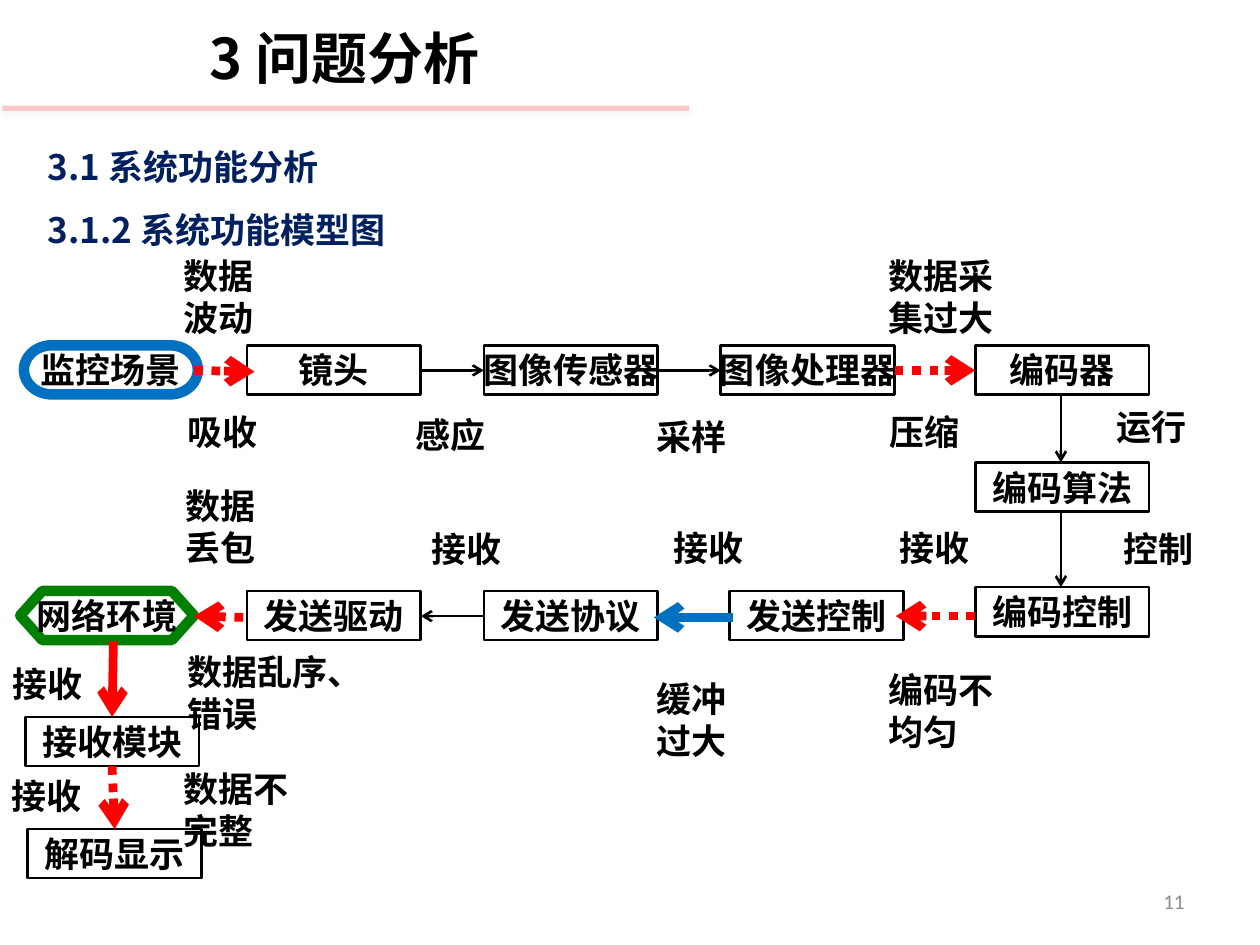
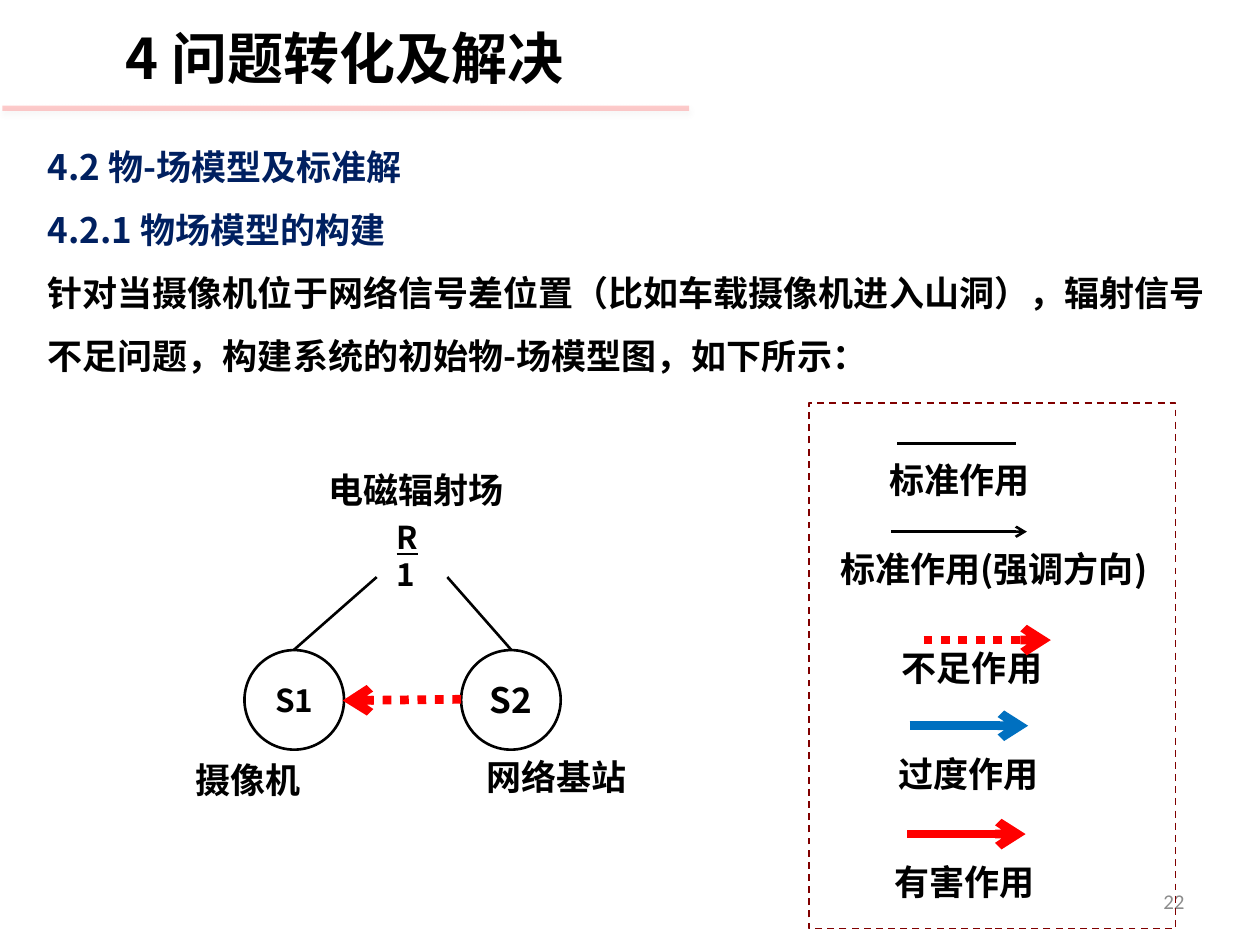
import lxml.etree
import pptx
import pptx.dml.color
import pptx.enum.dml
import pptx.enum.shapes
import pptx.enum.text
import pptx.oxml.ns
import pptx.util

COLS, ROWS = 100, 75
WIDE, HIGH = pptx.util.Inches(10), pptx.util.Inches(7.5)
CJK, LATIN = "Noto Sans CJK SC", "Calibri"
HUES = {
    "black": "000000", "navy": "002060", "red": "FF0000", "blue": "0070C0",
    "green": "008000", "maroon": "800000", "gray": "8C8C8C", "shade": "808080",
}
DASH = pptx.enum.dml.MSO_LINE
FORM = pptx.enum.shapes.MSO_SHAPE
ALIGN = pptx.enum.text.PP_ALIGN
ANCHOR = pptx.enum.text.MSO_ANCHOR
FIT = pptx.enum.text.MSO_AUTO_SIZE

# Kinds of action: colour, line width, dash
ACTS = {
    "normal": ("black", 1.5, None),
    "weak": ("red", 5, DASH.ROUND_DOT),
    "excess": ("blue", 5, None),
    "harm": ("red", 5, None),
}


def hue(name):
    return pptx.dml.color.RGBColor.from_string(HUES[name])


def node(base, tag, **attrs):
    """Append a drawing element to base."""
    return lxml.etree.SubElement(base, pptx.oxml.ns.qn(tag), **attrs)


class Deck:
    """Style and current slide; lengths are columns and rows of the grid."""

    def __init__(self):
        self.prs = pptx.Presentation()
        self.prs.slide_width, self.prs.slide_height = WIDE, HIGH
        self.slide = None

    def spot(self, *nums):
        """Turn column, row pairs into slide lengths."""
        units = (WIDE / COLS, HIGH / ROWS)
        return [round(n * units[i % 2]) for i, n in enumerate(nums)]

    def page(self, title, heads, number, size, body=()):
        self.slide = self.prs.slides.add_slide(self.prs.slide_layouts[6])
        self.rule()
        self.text((2.8, 9.4, *size), [*heads, *body], space=1.5,
                  tints=["navy"] * len(heads) + ["black"] * len(body))
        self.text((0, 1.4, 54.7, 6.4), [title], size=32, align=ALIGN.CENTER)
        box = self.text((71.7, 69.5, 23.3, 4), [number], size=12, bold=False,
                        align=ALIGN.RIGHT, tints=["gray"], face=LATIN, grow=False)
        box.text_frame.vertical_anchor = ANCHOR.MIDDLE

    def rule(self):
        """Faint red rule with a soft shadow under the title."""
        line = self.line((0.2, 8.6, 54.7, 8.6), ("red", 3, None), False)
        tint = line.line._ln.find(".//" + pptx.oxml.ns.qn("a:srgbClr"))
        node(tint, "a:alpha", val="20000")
        fx = line._element.spPr.find(pptx.oxml.ns.qn("a:effectLst"))
        glow = node(fx, "a:outerShdw", blurRad=str(pptx.util.Pt(3.1)),
                    dist=str(pptx.util.Pt(1.8)), dir="5400000", rotWithShape="0")
        node(node(glow, "a:srgbClr", val=HUES["shade"]), "a:alpha", val="35000")

    def style(self, para, size, tint, align, bold=True, face=CJK):
        para.alignment = align
        font = para.font
        font.size, font.bold = pptx.util.Pt(size), bold
        font.color.rgb = hue(tint)
        font.name = face
        node(font._rPr, "a:ea", typeface=face)

    def text(self, place, lines, size=20, align=ALIGN.LEFT, tints=None,
             space=None, wrap=True, bold=True, face=CJK, grow=True):
        box = self.slide.shapes.add_textbox(*self.spot(*place))
        frame = box.text_frame
        frame.word_wrap = wrap
        frame.auto_size = FIT.SHAPE_TO_FIT_TEXT if grow else FIT.NONE
        for i, words in enumerate(lines):
            para = frame.paragraphs[0] if i == 0 else frame.add_paragraph()
            para.add_run().text = words
            if space:
                para.line_spacing = space
            self.style(para, size, tints[i] if tints else "black", align, bold, face)
        return box

    def ratio(self, place, top, low):
        """Underlined label with a second label below it."""
        box = self.text(place, [top], size=18, wrap=False)
        para = box.text_frame.paragraphs[0]
        para.runs[0].font.underline = True
        para.add_line_break()
        para.add_run().text = low

    def stroke(self, line, pen):
        tint, width, dash = pen
        line.color.rgb = hue(tint)
        line.width = pptx.util.Pt(width)
        if dash:
            line.dash_style = dash

    def shape(self, form, place, words="", pen=ACTS["normal"], size=20):
        item = self.slide.shapes.add_shape(form, *self.spot(*place))
        item.shadow.inherit = False
        item.fill.background()
        self.stroke(item.line, pen)
        if words:
            frame = item.text_frame
            frame.word_wrap = False
            frame.vertical_anchor = ANCHOR.MIDDLE
            frame.paragraphs[0].add_run().text = words
            self.style(frame.paragraphs[0], size, "black", ALIGN.CENTER)
        return item

    def line(self, ends, pen=ACTS["normal"], head=True):
        kind = pptx.enum.shapes.MSO_CONNECTOR.STRAIGHT
        item = self.slide.shapes.add_connector(kind, *self.spot(*ends))
        self.stroke(item.line, pen)
        if head:
            node(item.line._ln, "a:tailEnd", type="arrow")
        node(item._element.spPr, "a:effectLst")
        return item


def model(deck):
    """System function model."""
    deck.page("3 问题分析", ["3.1 系统功能分析", "3.1.2 系统功能模型图"],
              "11", (51.9, 11.1))
    wide, high = 13.8, 3.9
    top, low = 27.4, 46.9
    parts = [
        ("镜头", 19.6, top), ("图像传感器", 38.4, top), ("图像处理器", 57.2, top),
        ("编码器", 77.4, top), ("编码算法", 77.4, 36.7), ("编码控制", 77.4, 46.6),
        ("发送控制", 57.9, low), ("发送协议", 38.4, low), ("发送驱动", 19.6, low),
        ("接收模块", 2, 56.9), ("解码显示", 2.2, 65.8),
    ]
    for words, x, y in parts:
        deck.shape(FORM.RECTANGLE, (x, y, wide, high), words)
    deck.shape(FORM.FLOWCHART_TERMINATOR, (1.9, top, wide, high), "监控场景",
               ("blue", 6, None))
    net = deck.shape(FORM.HEXAGON, (1.6, low, wide, high), "网络环境",
                     ("green", 6, None))
    net.adjustments[0] = 0.45

    flows = [
        ("weak", 15.4, 29.4, 20.2, 29.5), ("normal", 33.3, 29.4, 38.4, 29.4),
        ("normal", 52.2, 29.4, 57.2, 29.4), ("weak", 71, 29.4, 77.4, 29.4),
        ("normal", 84.2, 31.3, 84.2, 36.7), ("normal", 84.2, 40.7, 84.2, 46.6),
        ("weak", 77.4, 48.9, 71.1, 48.9), ("excess", 58.2, 49, 51.9, 49),
        ("normal", 38.4, 48.9, 33.4, 48.9), ("weak", 19.3, 49, 15.4, 48.9),
        ("harm", 9, 50.9, 8.9, 56.9), ("weak", 8.9, 60.8, 9.1, 65.8),
    ]
    for act, *ends in flows:
        deck.line(ends, ACTS[act])

    verbs = [
        ("吸收", 13.9, 32.1), ("感应", 32, 32.3), ("采样", 51.1, 32.5),
        ("压缩", 69.6, 32.1), ("运行", 87.6, 31.7), ("控制", 88.2, 41.4),
        ("接收", 70.4, 41.3), ("接收", 52.5, 41.3), ("接收", 33.3, 41.4),
        ("接收", 0, 52.1), ("接收", -0.1, 61),
    ]
    for words, x, y in verbs:
        deck.text((x, y, 7.8, 4.4), [words])

    faults = [
        (["数据波动"], 13.6, 19.7, 7.8), (["数据采集过大"], 69.5, 19.7, 12),
        (["数据", "丢包"], 13.7, 38, 7.8), (["数据乱序、错误"], 13.9, 51.1, 13.8),
        (["缓冲过大"], 51.1, 53.3, 7.8), (["编码不均匀"], 69.5, 52.6, 12.2),
        (["数据不完整"], 13.6, 60.4, 11.3),
    ]
    for lines, x, y, span in faults:
        deck.text((x, y, span, 7.7), lines)


def field(deck):
    """Substance-field model with its legend."""
    deck.page("4 问题转化及解决", ["4.2 物-场模型及标准解", "4.2.1 物场模型的构建"],
              "22", (94.5, 21.2),
              ["针对当摄像机位于网络信号差位置（比如车载摄像机进入山洞），辐射信号"
               "不足问题，构建系统的初始物-场模型图，如下所示："])
    for words, x, size in [("S1", 19.4, 18), ("S2", 36.6, 20)]:
        deck.shape(FORM.OVAL, (x, 51.6, 7.9, 7.9), words, size=size)
    for ends in [(23.3, 51.6, 29.9, 45.8), (35.5, 45.8, 40.6, 51.6)]:
        deck.line(ends, head=False)
    deck.line((36.6, 55.5, 27.2, 55.6), ACTS["weak"])
    deck.text((23.3, 36.7, 19.4, 4.4), ["电磁辐射场"], align=ALIGN.CENTER)
    deck.ratio((30.5, 40.6, 4.8, 4), "R", "1")
    deck.text((14.5, 59.7, 10.8, 4.4), ["摄像机"])
    deck.text((37.6, 59.5, 13.2, 7.4), ["网络基站"])

    deck.shape(FORM.RECTANGLE, (64.2, 32, 29.1, 41.7), pen=("maroon", 1, DASH.DASH))
    # Label, its place and width, action, line start, row and length, arrowhead
    legend = [
        ("标准作用", 69.6, 35.9, 14, "normal", 71.2, 35.2, 9.4, False),
        ("标准作用(强调方向)", 65.7, 43, 29.6, "normal", 70.7, 42.2, 10.8, True),
        ("不足作用", 70.6, 50.8, 13.3, "weak", 73.3, 50.8, 10.1, True),
        ("过度作用", 70.3, 59.2, 13.2, "excess", 72.2, 57.6, 9.4, True),
        ("有害作用", 70, 67.8, 13.2, "harm", 72, 66.2, 9.4, True),
    ]
    for words, x, y, span, act, start, row, size, head in legend:
        deck.text((x, y, span, 4.4), [words])
        deck.line((start, row, start + size, row), ACTS[act], head)


def main():
    deck = Deck()
    model(deck)
    field(deck)
    deck.prs.save("out.pptx")


if __name__ == "__main__":
    main()
